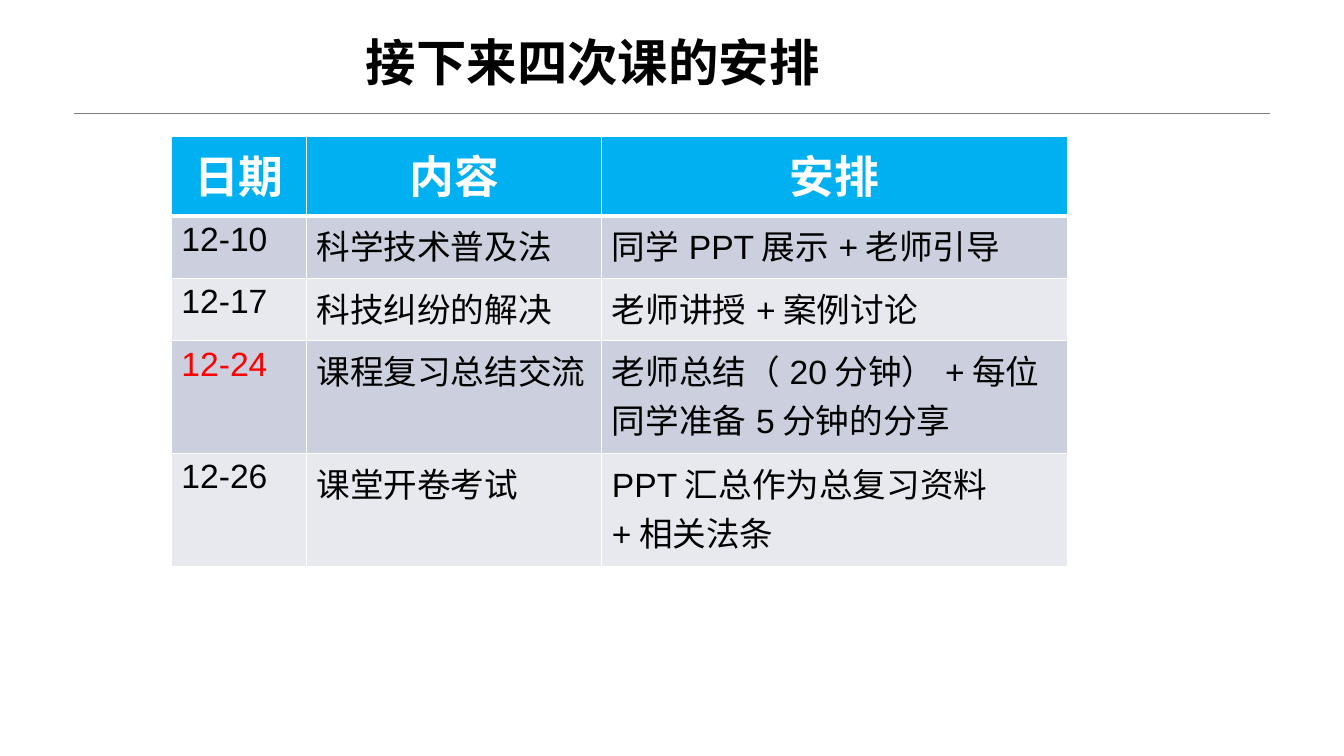
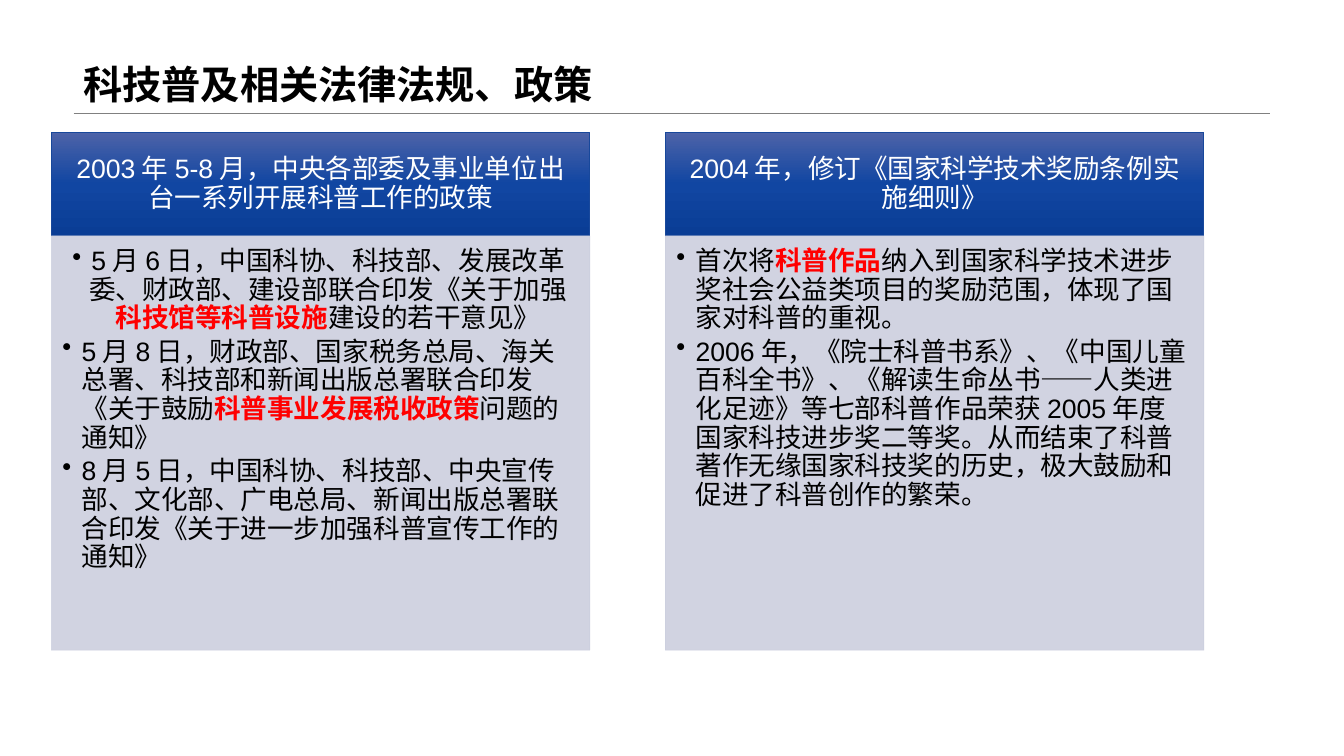
import copy

import pptx
import pptx.dml.color
import pptx.enum.shapes
import pptx.enum.text
import pptx.oxml
import pptx.oxml.ns
import pptx.util
from lxml import etree

Inches = pptx.util.Inches
Pt = pptx.util.Pt
RGBColor = pptx.dml.color.RGBColor
ALIGN = pptx.enum.text.PP_ALIGN
ANCHOR = pptx.enum.text.MSO_ANCHOR
RECT = pptx.enum.shapes.MSO_SHAPE.RECTANGLE
STRAIGHT = pptx.enum.shapes.MSO_CONNECTOR.STRAIGHT
qn = pptx.oxml.ns.qn

FONT = "Arial"
BLACK = RGBColor(0x00, 0x00, 0x00)
WHITE = RGBColor(0xFF, 0xFF, 0xFF)
RED = RGBColor(0xFF, 0x00, 0x00)
GRAY = RGBColor(0x80, 0x80, 0x80)
SKY = RGBColor(0x00, 0xB0, 0xF0)
MIST = RGBColor(0xCC, 0xCF, 0xDE)
PALE = RGBColor(0xE8, 0xE9, 0xEF)
NAVY = RGBColor(0x18, 0x48, 0x9B)
BLEND = [
    (0, RGBColor(0x4D, 0x63, 0xA8)),
    (0.5, RGBColor(0x11, 0x46, 0xA2)),
    (1, RGBColor(0x0A, 0x3D, 0x95)),
]


def write(par, text, size, color, bold=False, align=ALIGN.LEFT):
    """Fill a paragraph; parts between bars become bold red."""
    par.alignment = align
    par.font.name = FONT
    par.font.size = Pt(size)
    par.font.bold = bold
    par.font.color.rgb = color
    for i, part in enumerate(text.split("|")):
        run = par.add_run()
        run.text = part
        if i % 2:
            run.font.bold = True
            run.font.color.rgb = RED


def block(slide, left, top, width, height, insets):
    """Add a shadowless rectangle with a thin line and set text insets."""
    shape = slide.shapes.add_shape(RECT, left, top, width, height)
    shape.shadow.inherit = False
    shape.line.width = Pt(0.5)
    frame = shape.text_frame
    frame.word_wrap = True
    (frame.margin_left, frame.margin_top,
     frame.margin_right, frame.margin_bottom) = map(Inches, insets)
    return shape


deck = pptx.Presentation()
deck.slide_width = Inches(13.33)
deck.slide_height = Inches(7.5)

# Title and rule on every slide: text, size, left, width, height
TITLES = [
    ("接下来四次课的安排", 36, 3.53, 7.62, 0.97),
    ("科技普及相关法律法规、政策", 28, 0.73, 11.87, 1.12),
]
for text, size, left, width, height in TITLES:
    slide = deck.slides.add_slide(deck.slide_layouts[6])
    rule = slide.shapes.add_connector(
        STRAIGHT, Inches(0.73), Inches(1.12), Inches(12.6), Inches(1.12))
    rule.line.color.rgb = GRAY
    rule.line.width = Pt(0.25)
    etree.SubElement(rule.element.spPr, qn("a:effectLst"))
    box = slide.shapes.add_textbox(Inches(left), 0, Inches(width), Inches(height))
    box.text_frame.word_wrap = True
    box.text_frame.vertical_anchor = ANCHOR.BOTTOM
    par = box.text_frame.paragraphs[0]
    par.line_spacing = 0.9
    write(par, text, size, BLACK, bold=True)

plan, policy = deck.slides

# Timetable
ROWS = [
    ("日期", "内容", "安排"),
    ("12-10", "科学技术普及法", "同学PPT展示+老师引导"),
    ("12-17", "科技纠纷的解决", "老师讲授+案例讨论"),
    ("12-24", "课程复习总结交流", "老师总结（20分钟）+每位同学准备5分钟的分享"),
    ("12-26", "课堂开卷考试", "PPT汇总作为总复习资料+相关法条"),
]
WIDTHS = [1.34, 2.93, 4.62]
HEIGHTS = [0.79, 0.62, 0.62, 1.12, 1.12]
table = plan.shapes.add_table(
    len(ROWS), len(WIDTHS), Inches(1.7), Inches(1.35),
    Inches(sum(WIDTHS)), Inches(sum(HEIGHTS))).table
for col, width in zip(table.columns, WIDTHS):
    col.width = Inches(width)
for row, height in zip(table.rows, HEIGHTS):
    row.height = Inches(height)
for r, texts in enumerate(ROWS):
    for c, text in enumerate(texts):
        cell = table.cell(r, c)
        props = cell._tc.get_or_add_tcPr()
        for side in "LRTB":
            thick = (r, side) in ((0, "B"), (1, "T"))
            edge = etree.SubElement(
                props, qn("a:ln" + side), w=str(Pt(3 if thick else 1)))
            fill = etree.SubElement(edge, qn("a:solidFill"))
            etree.SubElement(fill, qn("a:srgbClr"), val=str(WHITE))
        cell.fill.solid()
        par = cell.text_frame.paragraphs[0]
        if r == 0:
            cell.fill.fore_color.rgb = SKY
            write(par, text, 32, WHITE, True, ALIGN.CENTER)
        else:
            cell.fill.fore_color.rgb = MIST if r % 2 else PALE
            write(par, text, 24, RED if text == "12-24" else BLACK)

# Policy cards: heading, bullets
CARDS = [
    ("2003年5-8月，中央各部委及事业单位出台一系列开展科普工作的政策", [
        "5月6日，中国科协、科技部、发展改革委、财政部、建设部联合印发"
        "《关于加强|科技馆等科普设施|建设的若干意见》",
        "5月8日，财政部、国家税务总局、海关总署、科技部和新闻出版总署联合印发"
        "《关于鼓励|科普事业发展税收政策|问题的通知》",
        "8月5日，中国科协、科技部、中央宣传部、文化部、广电总局、新闻出版总署"
        "联合印发《关于进一步加强科普宣传工作的通知》",
    ]),
    ("2004年，修订《国家科学技术奖励条例实施细则》", [
        "首次将|科普作品|纳入到国家科学技术进步奖社会公益类项目的奖励范围，"
        "体现了国家对科普的重视。",
        "2006年，《院士科普书系》、《中国儿童百科全书》、"
        "《解读生命丛书——人类进化足迹》等七部科普作品荣获2005年度"
        "国家科技进步奖二等奖。从而结束了科普著作无缘国家科技奖的历史，"
        "极大鼓励和促进了科普创作的繁荣。",
    ]),
]
PITCH = Pt(20.5)
WIDE = Inches(5.34)
for i, (heading, points) in enumerate(CARDS):
    left = Inches(0.51 + i * 6.09)

    head = block(policy, left, Inches(1.31), WIDE, Inches(1.03),
                 (0.15, 0.08, 0.15, 0.08))
    head.line.color.rgb = NAVY
    head.fill.gradient()
    head.fill.gradient_angle = 270
    stops = head.element.find(".//" + qn("a:gsLst"))
    stops.append(copy.deepcopy(stops[-1]))
    for stop, (place, color) in zip(head.fill.gradient_stops, BLEND):
        stop.position = place
        stop.color.rgb = color
    head.text_frame.vertical_anchor = ANCHOR.MIDDLE
    par = head.text_frame.paragraphs[0]
    par.line_spacing = PITCH
    write(par, heading, 19, WHITE, align=ALIGN.CENTER)

    body = block(policy, left, Inches(2.34), WIDE, Inches(4.11),
                 (0.11, 0.11, 0.15, 0.17))
    body.fill.solid()
    body.fill.fore_color.rgb = MIST
    body.line.color.rgb = MIST
    for color in body.element.spPr.iter(qn("a:srgbClr")):
        etree.SubElement(color, qn("a:alpha"), val="90000")
    frame = body.text_frame
    frame.vertical_anchor = ANCHOR.TOP
    for j, point in enumerate(points):
        par = frame.add_paragraph() if j else frame.paragraphs[0]
        par.line_spacing = PITCH
        par.space_after = Pt(3.4)
        props = par._p.get_or_add_pPr()
        props.set("marL", str(Inches(0.19)))
        props.set("indent", str(-Inches(0.19)))
        etree.SubElement(props, qn("a:buChar"), char="•")
        first = i == 0 and j == 0
        write(par, point, 19, BLACK, align=ALIGN.CENTER if first else ALIGN.LEFT)

deck.save("out.pptx")
